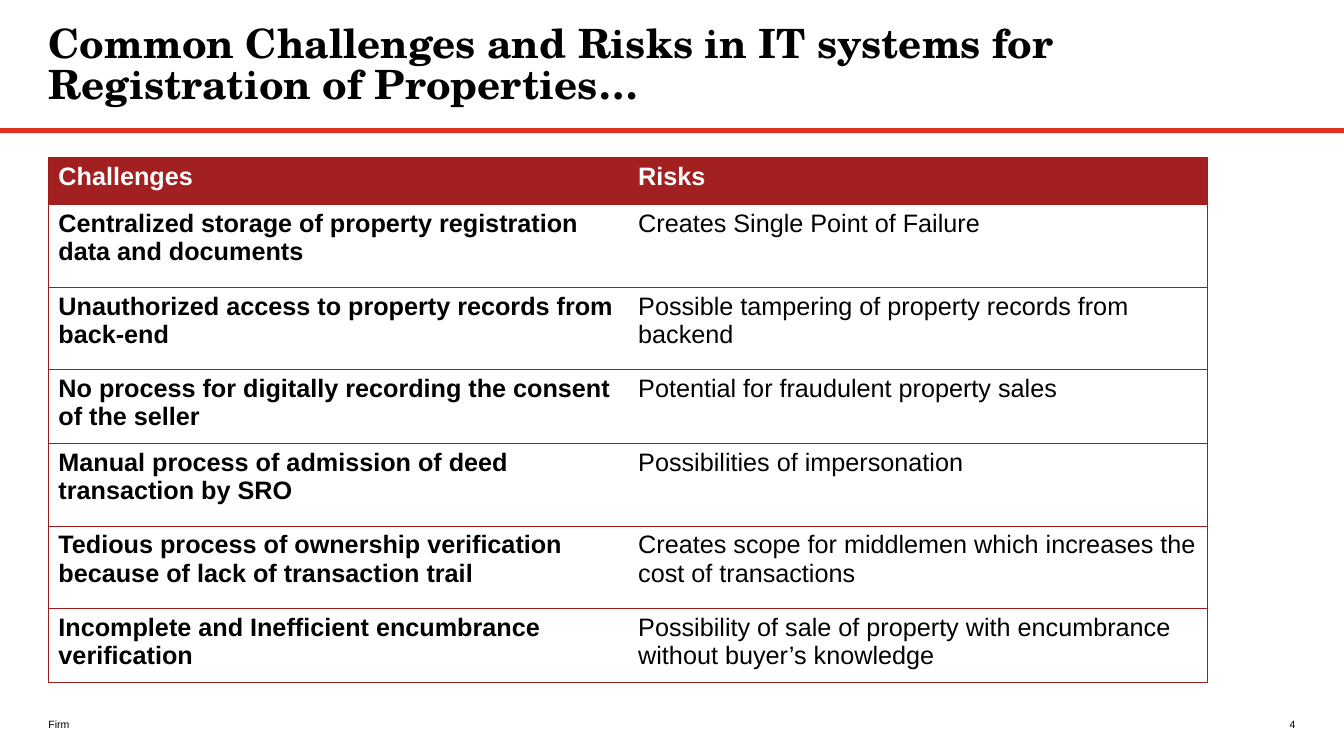
import pptx
import pptx.util
import pptx.dml.color
import pptx.enum.shapes
import pptx.enum.text
import pptx.oxml
import pptx.oxml.ns
from pptx.util import Inches

ALIGN = pptx.enum.text.PP_ALIGN
ANCHOR = pptx.enum.text.MSO_ANCHOR
BLACK = "000000"
WHITE = "FFFFFF"
HEADER_RED = "A32020"
BORDER_RED = "A31C1C"
RULE_RED = "E0301E"
LEFT = 0.48

ROWS = [
    ("Challenges", "Risks", 0.47),
    ("Centralized storage of property registration data and documents",
     "Creates Single Point of Failure", 0.82),
    ("Unauthorized access to property records from back-end",
     "Possible tampering of property records from backend", 0.82),
    ("No process for digitally recording the consent of the seller",
     "Potential for fraudulent property sales", 0.73),
    ("Manual process of admission of deed transaction by SRO",
     "Possibilities of impersonation", 0.82),
    ("Tedious process of ownership verification because of lack of transaction trail",
     "Creates scope for middlemen which increases the cost of transactions", 0.82),
    ("Incomplete and Inefficient encumbrance verification",
     "Possibility of sale of property with encumbrance without buyer’s knowledge", 0.73),
]


def color(value):
    return pptx.dml.color.RGBColor.from_string(value)


def add_span(para, text, size, value=BLACK, bold=False, font="Arial"):
    span = para.add_run()
    span.text = text
    span.font.name = font
    span.font.size = pptx.util.Pt(size)
    span.font.bold = bold
    span.font.color.rgb = color(value)


def add_text(page, place, text, size, anchor=ANCHOR.BOTTOM, align=ALIGN.LEFT,
             spacing=1.0, **style):
    box = page.shapes.add_textbox(*map(Inches, place))
    frame = box.text_frame
    frame.word_wrap = True
    frame.vertical_anchor = anchor
    frame.margin_left = frame.margin_right = 0
    frame.margin_top = frame.margin_bottom = 0
    para = frame.paragraphs[0]
    para.alignment = align
    para.line_spacing = spacing
    add_span(para, text, size, **style)


def add_rule(page):
    rule = page.shapes.add_shape(
        pptx.enum.shapes.MSO_SHAPE.RECTANGLE,
        Inches(0), Inches(1.27), Inches(13.33), Inches(0.05))
    rule.shadow.inherit = False
    rule.fill.solid()
    rule.fill.fore_color.rgb = color(RULE_RED)
    rule.line.fill.background()


def set_borders(cell, hidden_side):
    properties = cell._tc.get_or_add_tcPr()
    for index, side in enumerate("LRTB"):
        paint = "<a:noFill/>"
        if side != hidden_side:
            paint = f'<a:solidFill><a:srgbClr val="{BORDER_RED}"/></a:solidFill>'
        line = pptx.oxml.parse_xml(
            f'<a:ln{side} {pptx.oxml.ns.nsdecls("a")} w="9525">{paint}</a:ln{side}>')
        properties.insert(index, line)


def fill_cell(cell, text, is_header, is_left):
    if is_header:
        cell.fill.solid()
        cell.fill.fore_color.rgb = color(HEADER_RED)
    else:
        cell.fill.background()
    set_borders(cell, "R" if is_left else "L")
    add_span(cell.text_frame.paragraphs[0], text, 18,
             WHITE if is_header else BLACK, is_header or is_left)


def add_risk_table(page):
    table = page.shapes.add_table(
        len(ROWS), 2, Inches(LEFT), Inches(1.56), Inches(11.5), Inches(5.2)).table
    table.horz_banding = False
    for column in table.columns:
        column.width = Inches(5.75)
    for index, (challenge, risk, height) in enumerate(ROWS):
        table.rows[index].height = Inches(height)
        fill_cell(table.cell(index, 0), challenge, index == 0, True)
        fill_cell(table.cell(index, 1), risk, index == 0, False)


def main():
    deck = pptx.Presentation()
    deck.slide_width = Inches(13.33)
    deck.slide_height = Inches(7.5)
    page = deck.slides.add_slide(deck.slide_layouts[6])
    add_text(page, (LEFT, 7.1, 5.99, 0.15), "Firm", 7.5)
    add_rule(page)
    add_text(page, (10.92, 7.1, 1.93, 0.15), "4", 7.5, align=ALIGN.RIGHT)
    add_text(page, (LEFT, 0.25, 12.36, 0.8),
             "Common Challenges and Risks in IT systems for Registration of Properties…",
             28.8, anchor=ANCHOR.TOP, spacing=0.85, bold=True, font="TeX Gyre Schola")
    add_risk_table(page)
    deck.save("out.pptx")


if __name__ == "__main__":
    main()
